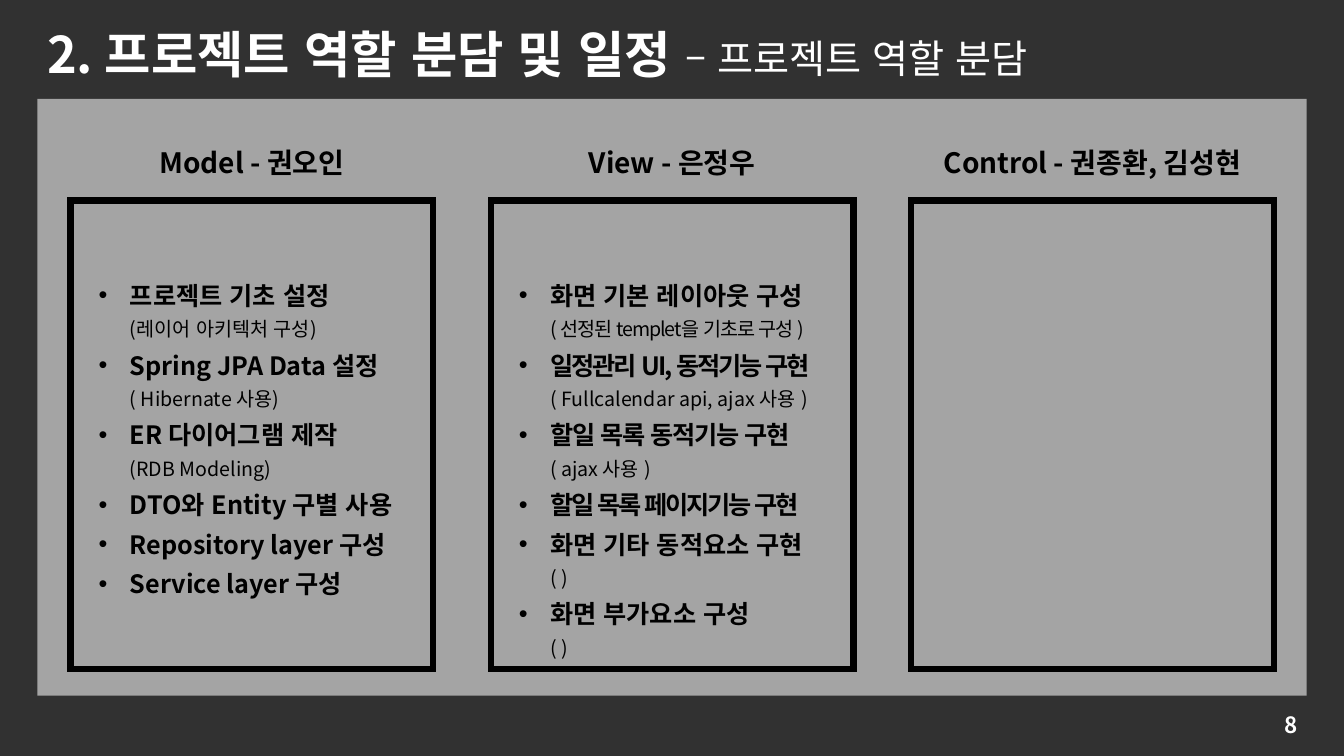
from lxml import etree
from pptx import Presentation
from pptx.dml.color import RGBColor
from pptx.enum.lang import MSO_LANGUAGE_ID
from pptx.enum.shapes import MSO_SHAPE
from pptx.enum.text import MSO_ANCHOR, PP_ALIGN
from pptx.oxml.ns import qn
from pptx.util import Cm, Pt

RECT = MSO_SHAPE.RECTANGLE
KOREAN = MSO_LANGUAGE_ID.KOREAN
TOP, MID = MSO_ANCHOR.TOP, MSO_ANCHOR.MIDDLE
LEFT, MIDDLE, RIGHT = PP_ALIGN.LEFT, PP_ALIGN.CENTER, PP_ALIGN.RIGHT

# Content: each role has a heading and items (text, spacing, note, note spacing)
TITLE = ("2. 프로젝트 역할 분담 및 일정 ", "– 프로젝트 역할 분담")
PAGE = "8"
ROLES = [
    ("Model - 권오인", [
        ("프로젝트 기초 설정", 0, "(레이어 아키텍처 구성)", 0),
        ("Spring JPA Data 설정", 0, "( Hibernate 사용)", 0),
        ("ER 다이어그램 제작", 0, "(RDB Modeling)", 0),
        ("DTO와 Entity 구별 사용", 0, "", 0),
        ("Repository layer 구성", 0, "", 0),
        ("Service layer 구성", 0, "", 0),
    ]),
    ("View - 은정우", [
        ("화면 기본 레이아웃 구성", 0, "( 선정된 templet을 기초로 구성 )", -0.8),
        ("일정관리 UI, 동적기능 구현", -1.5, "( Fullcalendar api, ajax 사용 )", 0),
        ("할일 목록 동적기능 구현", -0.8, "( ajax 사용 )", 0),
        ("할일 목록 페이지기능 구현", -1.5, "", 0),
        ("화면 기타 동적요소 구현", 0, "( )", 0),
        ("화면 부가요소 구성", 0, "( )", 0),
    ]),
    ("Control - 권종환, 김성현", []),
]

# Theme
THEME = {
    "font": "Noto Sans CJK KR",
    "back": ("0D0D0D", 85), "panel": ("F2F2F2", 60),
    "light": "FFFFFF", "dark": "000000",
    "title": 36, "sub": 28, "head": 20, "item": 18, "note": 14, "page": 16,
    "frame": 4.5, "lead": 1.3,
}

# Geometry in cm
WIDE, HIGH = 33.87, 19.05
SIDE = 0.94
COL_X, COL_W, STEP = 1.78, 9.14, 10.59
BOX_Y, BOX_H = 5.05, 11.81
HEAD_Y, HEAD_W, HEAD_H = 3.53, 9.35, 1.12
LIST_Y, LIST_W, LIST_H = 6.7, 8.23, 10.16
INDENT = 0.79


def rgb(code):
    return RGBColor.from_string(code)


def add_rect(slide, area, fill=None, line=None):
    box = slide.shapes.add_shape(RECT, *map(Cm, area))
    box.shadow.inherit = False
    if fill:
        code, alpha = fill
        box.fill.solid()
        box.fill.fore_color.rgb = rgb(code)
        tint = box.fill._xPr.find(".//" + qn("a:srgbClr"))
        etree.SubElement(tint, qn("a:alpha"), val=str(alpha * 1000))
    else:
        box.fill.background()
    if line:
        box.line.color.rgb = rgb(line)
        box.line.width = Pt(THEME["frame"])
        edge = box.line._get_or_add_ln()
        etree.SubElement(edge, qn("a:miter"), lim="800000")
    else:
        box.line.fill.background()


def add_run(para, text, size, color, bold=True, gap=0):
    run = para.add_run()
    run.text = text
    form = {"size": Pt(THEME[size]), "bold": bold, "name": THEME["font"],
            "language_id": KOREAN}
    for key, val in form.items():
        setattr(run.font, key, val)
    run.font.color.rgb = rgb(THEME[color])
    props = run._r.get_or_add_rPr()
    etree.SubElement(props, qn("a:ea"), typeface=THEME["font"])
    if gap:
        props.set("spc", str(round(gap * 100)))


def set_frame(frame, anchor=TOP):
    form = {"word_wrap": True, "vertical_anchor": anchor,
            "margin_left": Cm(0.25), "margin_right": Cm(0.25),
            "margin_top": Cm(0.13), "margin_bottom": Cm(0.13)}
    for key, val in form.items():
        setattr(frame, key, val)
    return frame


def add_text(slide, area, anchor=TOP):
    return set_frame(slide.shapes.add_textbox(*map(Cm, area)).text_frame, anchor)


def add_list(slide, area, items):
    frame = add_text(slide, area)
    for num, (text, gap, note, tight) in enumerate(items):
        para = frame.add_paragraph() if num else frame.paragraphs[0]
        para.line_spacing = THEME["lead"]
        props = para._p.get_or_add_pPr()
        props.set("marL", str(Cm(INDENT)))
        props.set("indent", str(-Cm(INDENT)))
        etree.SubElement(props, qn("a:buFont"), typeface="Arial")
        etree.SubElement(props, qn("a:buChar"), char="•")
        add_run(para, text, "item", "dark", gap=gap)
        if note:
            para.add_line_break()
            add_run(para, note, "note", "dark", False, tight)


def main():
    deck = Presentation()
    deck.slide_width, deck.slide_height = Cm(WIDE), Cm(HIGH)
    slide = deck.slides.add_slide(deck.slide_layouts[5])

    # Backdrop and panel
    add_rect(slide, (0, 0, WIDE, HIGH), THEME["back"])
    add_rect(slide, (SIDE, 2.49, WIDE - 2 * SIDE, 15.04), THEME["panel"])

    # Title, brought in front of the backdrop
    title = slide.shapes.title
    slide.shapes._spTree.append(title._element)
    spot = dict(zip(("left", "top", "width", "height"),
                    map(Cm, (SIDE, 0.46, 29.24, 1.8))))
    for key, val in spot.items():
        setattr(title, key, val)
    para = set_frame(title.text_frame).paragraphs[0]
    para.alignment = LEFT
    add_run(para, TITLE[0], "title", "light")
    add_run(para, TITLE[1], "sub", "light", False)

    # Page number
    para = add_text(slide, (25.32, 17.75, 7.62, 1.02), MID).paragraphs[0]
    para.alignment = RIGHT
    add_run(para, PAGE, "page", "light")

    # Role columns
    for num, (head, items) in enumerate(ROLES):
        left = COL_X + num * STEP
        mid = left + COL_W / 2
        add_rect(slide, (left, BOX_Y, COL_W, BOX_H), line=THEME["dark"])
        area = (mid - HEAD_W / 2, HEAD_Y, HEAD_W, HEAD_H)
        para = add_text(slide, area).paragraphs[0]
        para.alignment = MIDDLE
        add_run(para, head, "head", "dark")
        if items:
            add_list(slide, (mid - LIST_W / 2, LIST_Y, LIST_W, LIST_H), items)

    deck.save("out.pptx")


if __name__ == "__main__":
    main()
